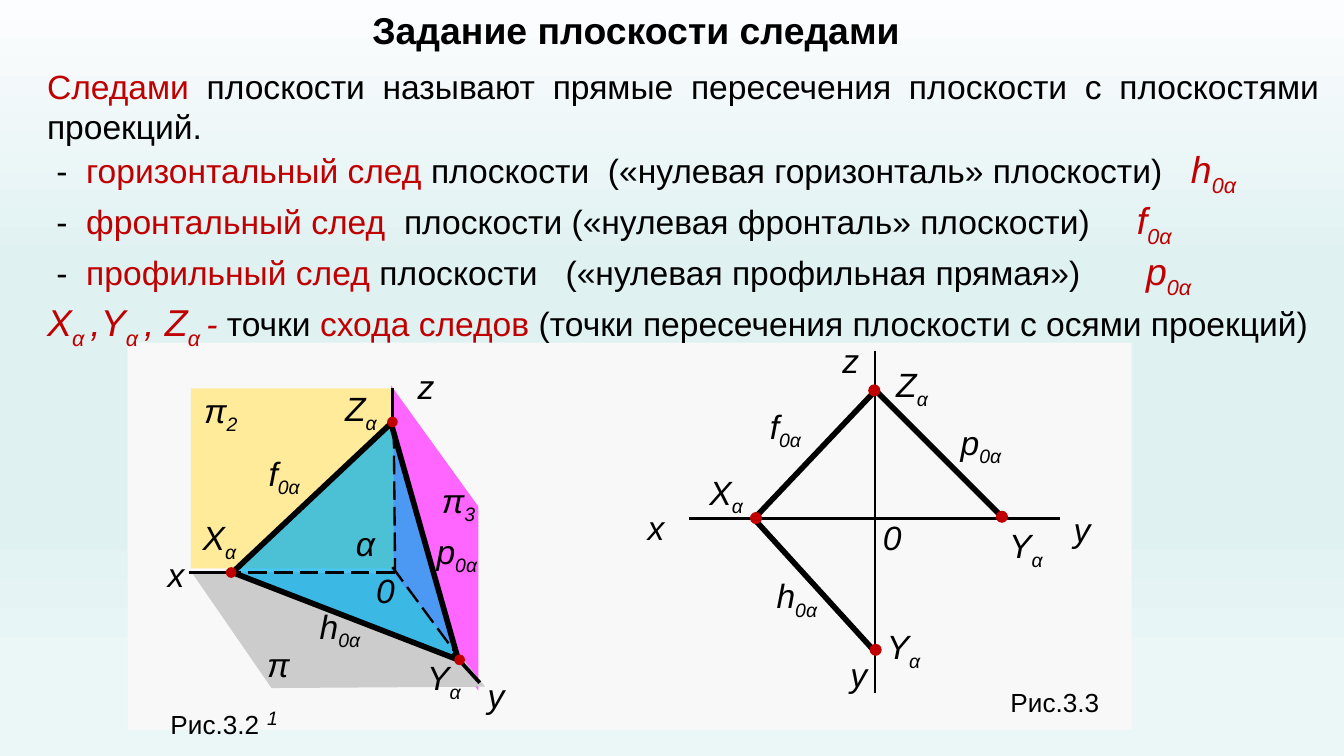
from pptx import Presentation as Deck
from pptx.dml.color import RGBColor as RGB
from pptx.enum.dml import MSO_LINE as Dash
from pptx.enum.shapes import MSO_CONNECTOR as Conn, MSO_SHAPE as Kind
from pptx.enum.text import MSO_ANCHOR as Anchor, MSO_AUTO_SIZE as Auto, PP_ALIGN as Align
from pptx.oxml import parse_xml
from pptx.oxml.ns import nsdecls, qn
from pptx.util import Inches, Pt

BLACK = RGB(0, 0, 0)
RED = RGB(0xC0, 0, 0)
PANEL = RGB(0xF8, 0xF8, 0xF8)
PINK = RGB(0xFF, 0x66, 0xFF)
GREY = RGB(0xCC, 0xCC, 0xCC)
SAND = RGB(0xFF, 0xEB, 0x99)
BLUE = RGB(0, 0xB0, 0xF0)
STOPS = [(0, "FCFDFE"), (35, "E0F1F2"), (69, "E0F1F2"), (88, "EBF6F7"), (100, "EBF6F7")]

# Run styles: font values, colour, subscript
STYLES = {
    "text": (dict(size=Pt(18)), BLACK, False),
    "term": (dict(size=Pt(18)), RED, False),
    "dash": (dict(size=Pt(18), italic=True), RED, False),
    "sign": (dict(size=Pt(20), italic=True), RED, False),
    "sub": (dict(size=Pt(20), italic=True), RED, True),
    "mark": (dict(size=Pt(18), italic=True), BLACK, False),
    "low": (dict(size=Pt(18), italic=True), BLACK, True),
    "head": (dict(size=Pt(20), bold=True), BLACK, False),
    "note": (dict(size=Pt(14)), BLACK, False),
}

BODY = [
    (Align.JUSTIFY, [("Следами", "term"),
                     (" плоскости называют прямые пересечения плоскости с плоскостями проекций.", "text")]),
    (Align.JUSTIFY, [(" -  ", "text"), ("горизонтальный след ", "term"),
                     ("плоскости  («нулевая горизонталь» плоскости)   ", "text"),
                     ("h", "sign"), ("0α", "sub")]),
    (Align.LEFT, [(" -  ", "text"), ("фронтальный след  ", "term"),
                  ("плоскости («нулевая фронталь» плоскости)     ", "text"),
                  ("f", "sign"), ("0α", "sub")]),
    (Align.LEFT, [(" -  ", "text"), ("профильный след ", "term"),
                  ("плоскости   («нулевая профильная прямая»)       ", "text"),
                  ("p", "sign"), ("0α", "sub")]),
    (Align.LEFT, [("X", "sign"), ("α ", "sub"), (",Y", "sign"), ("α ", "sub"),
                  (", Z", "sign"), ("α ", "sub"), ("- ", "dash"), ("точки ", "text"),
                  ("схода следов ", "term"),
                  ("(точки пересечения плоскости с осями проекций)", "text")]),
]

# Labels: letter, subscript, left, top, width
LABELS = [
    ("x", "", 1.15, 4.07, 0.33), ("z", "", 3.01, 2.67, 0.33), ("y", "", 3.53, 4.97, 0.33),
    ("π", "2", 1.42, 2.85, 0.46), ("π", "1", 1.89, 4.74, 0.43), ("π", "3", 3.19, 3.52, 0.46),
    ("f", "0α", 1.9, 3.32, 0.51), ("p", "0α", 3.15, 3.9, 0.53), ("h", "0α", 2.28, 4.46, 0.53),
    ("Z", "α", 2.47, 2.84, 0.45), ("X", "α", 1.41, 3.8, 0.52), ("Y", "α", 3.08, 4.84, 0.48),
    ("0", "", 2.7, 4.19, 0.89), ("α", "", 2.55, 3.84, 0.36),
    ("x", "", 4.72, 3.72, 0.33), ("y", "", 6.23, 4.82, 0.33), ("y", "", 7.89, 3.74, 0.33),
    ("z", "", 6.17, 2.48, 0.33), ("Y", "α", 6.5, 4.61, 0.47), ("Y", "α", 7.41, 3.86, 0.48),
    ("h", "0α", 5.68, 4.23, 0.53), ("f", "0α", 5.63, 2.97, 0.51), ("p", "0α", 7.05, 3.09, 0.53),
    ("Z", "α", 6.57, 2.66, 0.45), ("X", "α", 5.18, 3.46, 0.52), ("0", "", 6.47, 3.8, 0.72),
]

# Lines: start, end, width, dashed
LINES = [
    ((2.94, 4.26), (1.73, 4.26), 1.25, True),
    ((1.73, 4.26), (1.41, 4.26), 2, False),
    ((3.45, 4.94), (2.92, 4.22), 1.25, True),
    ((2.93, 3.2), (2.94, 4.26), 1.25, True),
    ((2.92, 2.89), (2.92, 3.19), 2, False),
    ((3.57, 5.08), (3.37, 4.86), 2, False),
    ((6.51, 2.9), (7.47, 3.86), 3, False),
    ((5.61, 3.86), (6.52, 4.86), 3, False),
    ((5.61, 3.86), (6.52, 2.9), 3, False),
    ((5.13, 3.86), (7.89, 3.86), 1.5, False),
    ((6.51, 2.61), (6.51, 5.16), 1.5, False),
]

# Dots: left, top, size
DOTS = [(2.88, 3.1, 0.08), (1.68, 4.22, 0.08), (3.38, 4.87, 0.08), (6.47, 4.79, 0.09),
        (7.41, 3.8, 0.09), (5.58, 3.81, 0.09), (6.46, 2.86, 0.09)]


def fill_back(slide):
    slide.background.fill.gradient()
    stops = "".join(f'<a:gs pos="{pos * 1000}"><a:srgbClr val="{hue}"/></a:gs>'
                    for pos, hue in STOPS)
    old = slide.element.find(".//" + qn("a:gradFill"))
    old.getparent().replace(old, parse_xml(
        f'<a:gradFill {nsdecls("a")} rotWithShape="1"><a:gsLst>{stops}</a:gsLst>'
        '<a:lin ang="5400000" scaled="0"/></a:gradFill>'))


def add_runs(para, runs):
    for text, style in runs:
        form, hue, low = STYLES[style]
        run = para.add_run()
        run.text = text
        run.font.name = "Arial"
        run.font.color.rgb = hue
        for name, value in form.items():
            setattr(run.font, name, value)
        if low:
            run._r.get_or_add_rPr().set("baseline", "-25000")


def place(shape, *box):
    for name, value in zip(("left", "top", "width", "height"), box):
        setattr(shape, name, Inches(value))


def set_frame(shape, **form):
    for name, value in form.items():
        setattr(shape.text_frame, name, value)
    return shape.text_frame


def add_title(slide):
    title = slide.shapes.title
    place(title, 2.67, 0, 4.16, 0.44)
    frame = set_frame(title, word_wrap=False, auto_size=Auto.NONE, vertical_anchor=Anchor.TOP)
    frame.paragraphs[0].alignment = Align.LEFT
    add_runs(frame.paragraphs[0], [("Задание плоскости следами", "head")])


def add_body(slide):
    body = slide.placeholders[1]
    place(body, 0.25, 0.44, 9.67, 2.05)
    frame = set_frame(body, word_wrap=True, auto_size=Auto.NONE, vertical_anchor=Anchor.TOP)
    for i, (align, runs) in enumerate(BODY):
        para = frame.add_paragraph() if i else frame.paragraphs[0]
        form = dict(alignment=align, line_spacing=1.0, space_before=Pt(0), space_after=Pt(0))
        for name, value in form.items():
            setattr(para, name, value)
        props = para._p.get_or_add_pPr()
        props.set("marL", "0")
        props.set("indent", "0")
        props.append(parse_xml(f'<a:buNone {nsdecls("a")}/>'))
        add_runs(para, runs)


def add_label(slide, runs, left, top, width, height=0.4):
    box = slide.shapes.add_textbox(*map(Inches, (left, top, width, height)))
    wide = width > 0.6 and height == 0.4
    frame = set_frame(box, word_wrap=wide, auto_size=Auto.SHAPE_TO_FIT_TEXT)
    add_runs(frame.paragraphs[0], runs)


def paint(shape, hue):
    shape.shadow.inherit = False
    shape.fill.solid()
    shape.fill.fore_color.rgb = hue
    shape.line.fill.background()


def add_form(slide, kind, hue, *box):
    paint(slide.shapes.add_shape(kind, *map(Inches, box)), hue)


def add_plane(slide, hue, first, *rest):
    pen = slide.shapes.build_freeform(*map(Inches, first), scale=1.0)
    pen.add_line_segments([tuple(map(Inches, point)) for point in rest], close=True)
    plane = pen.convert_to_shape()
    paint(plane, hue)
    return plane


def add_line(slide, start, end, width, dashed):
    line = slide.shapes.add_connector(Conn.STRAIGHT, *map(Inches, start + end))
    line.line.color.rgb = BLACK
    line.line.width = Pt(width)
    if dashed:
        line.line.dash_style = Dash.LONG_DASH
    line._element.spPr.append(parse_xml(f'<a:effectLst {nsdecls("a")}/>'))


def main():
    deck = Deck()
    deck.slide_width = Inches(10)
    deck.slide_height = deck.slide_width * 9 // 16
    slide = deck.slides.add_slide(deck.slide_layouts[1])
    fill_back(slide)

    # Panel, then the text above it
    add_form(slide, Kind.RECTANGLE, PANEL, 0.95, 2.55, 7.47, 2.88)
    for holder in (slide.placeholders[1], slide.shapes.title):
        slide.shapes._spTree.append(holder._element)
    add_body(slide)
    add_title(slide)

    # Projection planes and the trace triangle
    add_plane(slide, PINK, (2.91, 2.87), (3.56, 3.77), (3.56, 5.14), (2.91, 4.24))
    add_plane(slide, GREY, (1.42, 4.25), (2.93, 4.27), (3.61, 5.11), (2.02, 5.12))
    add_form(slide, Kind.RECTANGLE, SAND, 1.42, 2.89, 1.51, 1.34)
    alpha = add_plane(slide, BLUE, (1.73, 4.26), (2.91, 3.15), (3.41, 4.91))
    alpha.line.color.rgb = BLACK
    alpha.line.width = Pt(3)
    tint = alpha._element.spPr.find(qn("a:solidFill"))[0]
    tint.append(parse_xml(f'<a:alpha {nsdecls("a")} val="70000"/>'))

    # Axes, traces, points and labels
    for line in LINES:
        add_line(slide, *line)
    for left, top, size in DOTS:
        add_form(slide, Kind.OVAL, RED, left, top, size, size)
    for sign, low, *box in LABELS:
        add_label(slide, [(sign, "mark")] + ([(low, "low")] if low else []), *box)
    for text, left, top in (("Рис.3.2", 1.17, 5.22), ("Рис.3.3", 7.42, 5.06)):
        add_label(slide, [(text, "note")], left, top, 0.87, 0.34)
    deck.save("out.pptx")


if __name__ == "__main__":
    main()
